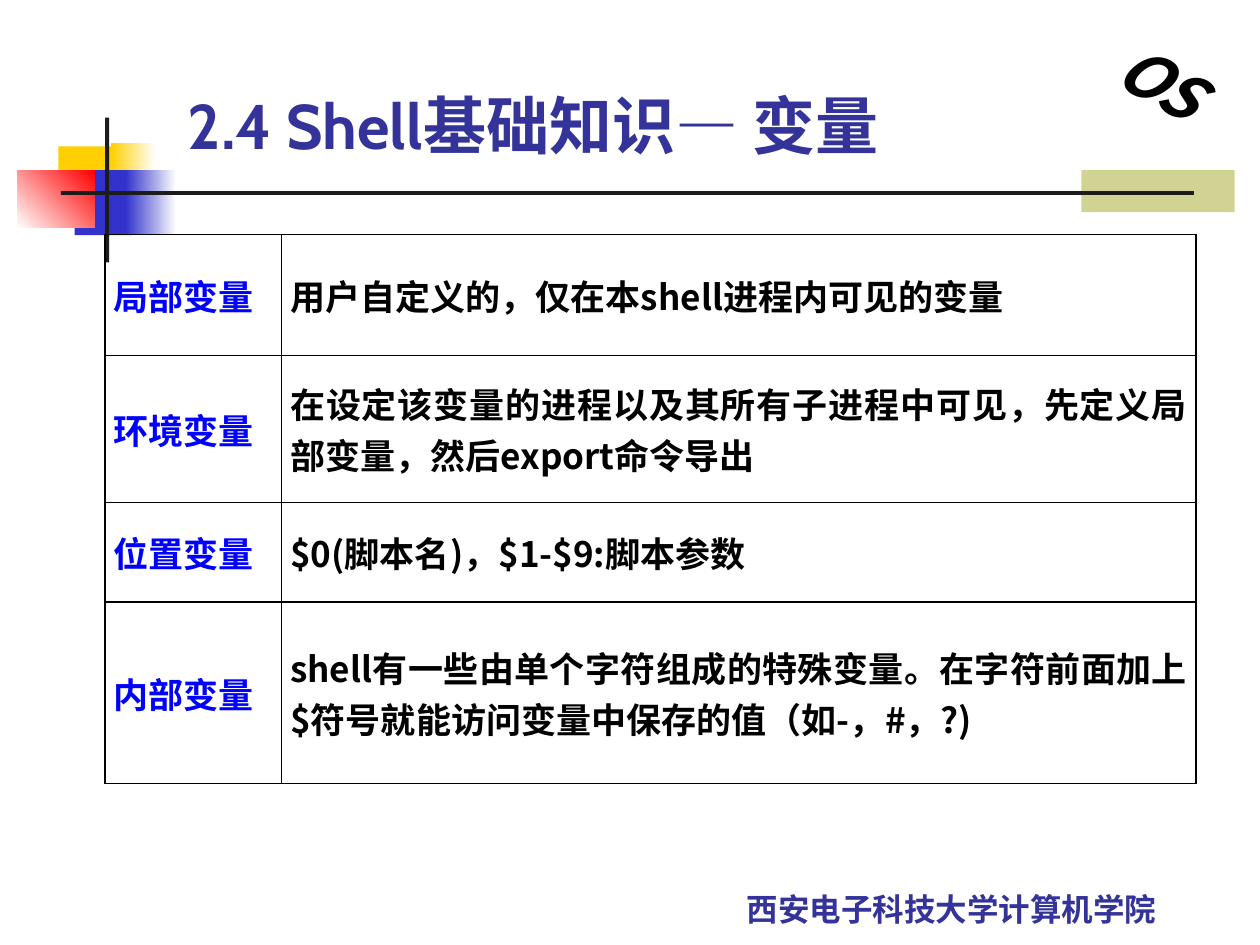
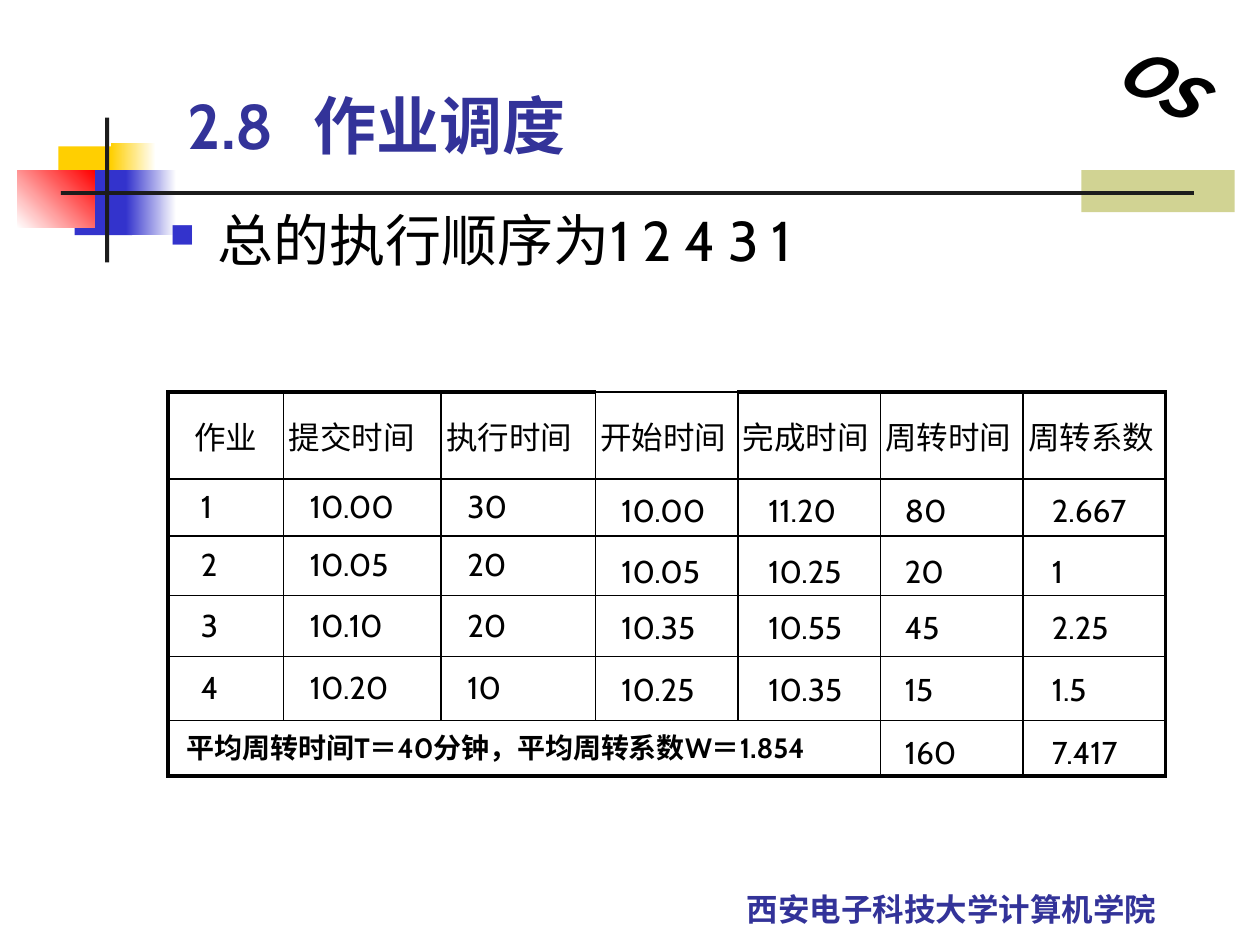
import dataclasses
import typing

import lxml.etree
import pptx
import pptx.dml.color
import pptx.enum.shapes
import pptx.enum.text
import pptx.oxml.ns
import pptx.util

ALIGN = pptx.enum.text.PP_ALIGN
ANCHOR = pptx.enum.text.MSO_ANCHOR
FIT = pptx.enum.text.MSO_AUTO_SIZE

COLUMNS, ROWS = 120, 90
WIDTH, HEIGHT = pptx.util.Inches(10), pptx.util.Inches(7.5)
COLORS = {
    "olive": "D1D393", "yellow": "FFCF01", "blue": "3333CC", "white": "FFFFFF",
    "red": "FF0000", "bar": "1C1C1C", "navy": "333399", "black": "000000",
    "term": "0000FF",
}
CJK = "Noto Sans CJK SC"
THIN, THICK = 0.96, 2.21


class Box(typing.NamedTuple):
    column: float
    row: float
    columns: float
    rows: float


class Block(typing.NamedTuple):
    box: Box
    color: str
    fade_to: str = ""
    angle: float = 0


@dataclasses.dataclass(frozen=True)
class TextStyle:
    size: float
    font: str = "Cabin"
    color: str = "black"
    bold: bool = False
    italic: bool = False
    align: ALIGN = ALIGN.LEFT
    before: float = 0
    indent: float = 0
    tracking: int = 0


@dataclasses.dataclass(frozen=True)
class Grid:
    column: float
    row: float
    widths: tuple[float, ...]
    heights: tuple[float, ...]
    side_margin: float
    outer: float = THIN
    thin_tops: frozenset[tuple[int, int]] = frozenset()


BLOCKS = [
    Block(Box(103, 16.2, 14.6, 4), "olive"),
    Block(Box(5.55, 13.95, 5.75, 6.2), "yellow"),
    Block(Box(10.55, 13.6, 4.3, 6.2), "yellow", "white"),
    Block(Box(7.1, 16.2, 5.5, 6.2), "blue"),
    Block(Box(12, 16.2, 4.8, 6.2), "blue", "white"),
    Block(Box(1.65, 16.2, 7.35, 5.5), "white", "red", 45),
    Block(Box(10, 11.2, 0.4, 13.8), "bar"),
    Block(Box(5.8, 18.2, 107.9, 0.36), "bar"),
]
TITLE_BOX = Box(16.7, 6, 102.2, 10)
FOOTER_BOX = Box(63.6, 82, 54, 7)
BADGE_BOX = Box(106.3, 3.4, 7.8, 10.2)

TITLE = TextStyle(36, color="navy", bold=True)
FOOTER = TextStyle(18, CJK, "navy", bold=True, align=ALIGN.CENTER)
BADGE = TextStyle(36, "Noto Sans CJK JP", bold=True, italic=True,
                  align=ALIGN.CENTER, tracking=-180)
TERM = TextStyle(20, CJK, "term", bold=True, align=ALIGN.JUSTIFY)
MEANING = dataclasses.replace(TERM, color="black")
BULLET = TextStyle(32, before=6.4)
CELL = TextStyle(18, before=3.6)
RESULT = TextStyle(18, before=9)
SUMMARY = TextStyle(16, bold=True, before=3.2, indent=0.05)

VARIABLES = [
    ("局部变量", "用户自定义的，仅在本shell进程内可见的变量"),
    ("环境变量", "在设定该变量的进程以及其所有子进程中可见，先定义局部变量，然后export命令导出"),
    ("位置变量", "$0(脚本名)，$1-$9:脚本参数"),
    ("内部变量", "shell有一些由单个字符组成的特殊变量。在字符前面加上$符号就能访问变量中保存的值（如-，#，?)"),
]
VARIABLE_GRID = Grid(10, 22.35, (16.8, 87.1), (11.5, 14, 9.5, 17.3), 0.07)

HEADINGS = ("作业", "提交时间", "执行时间", "开始时间", "完成时间", "周转时间", "周转系数")
JOBS = [
    ("1", "10.00", "30"),
    ("2", "10.05", "20"),
    ("3", "10.10", "20"),
    ("4", "10.20", "10"),
]
JOB_INDENTS = (0.22, 0.17, 0.17)
JOB_GRID = Grid(16, 37.35, (11, 15, 14.7) + (13.58,) * 4,
                (8.25, 5.45, 5.65, 5.85, 6.1, 5.25), 0.04, THICK,
                frozenset({(0, 3)}))
RESULT_COLUMNS = (58, 72, 85, 99)
RESULTS = {
    46.2: ("10.00", "11.20", "80", "2.667"),
    52: ("10.05", "10.25", "20", "1"),
    57.35: ("10.35", "10.55", "45", "2.25"),
    63.25: ("10.25", "10.35", "15", "1.5"),
    69.2: ("", "", "160", "7.417"),
}


def across(columns: float) -> int:
    return round(WIDTH * columns / COLUMNS)


def down(rows: float) -> int:
    return round(HEIGHT * rows / ROWS)


def place(box: Box) -> tuple[int, int, int, int]:
    return across(box.column), down(box.row), across(box.columns), down(box.rows)


def rgb(name: str) -> pptx.dml.color.RGBColor:
    return pptx.dml.color.RGBColor.from_string(COLORS[name])


def apply(target: typing.Any, formats: dict[str, typing.Any]) -> None:
    for name, value in formats.items():
        setattr(target, name, value)


def add_child(parent: typing.Any, tag: str, **attributes: str) -> typing.Any:
    return lxml.etree.SubElement(parent, pptx.oxml.ns.qn(tag), attributes)


def write(frame: typing.Any, text: str, style: TextStyle) -> typing.Any:
    para = frame.paragraphs[0]
    apply(para, {"alignment": style.align,
                 "space_before": pptx.util.Pt(style.before)})
    if style.indent:
        properties = para._p.get_or_add_pPr()
        properties.set("marL", str(pptx.util.Inches(style.indent)))
        properties.set("indent", "0")
    span = para.add_run()
    span.text = text
    apply(span.font, {"size": pptx.util.Pt(style.size), "name": style.font,
                      "bold": style.bold, "italic": style.italic})
    span.font.color.rgb = rgb(style.color)
    letters = span._r.get_or_add_rPr()
    add_child(letters, "a:ea", typeface=CJK if style.font == "Cabin" else style.font)
    if style.tracking:
        letters.set("spc", str(style.tracking))
    return para


def add_text(page: typing.Any, box: Box, text: str, style: TextStyle,
             **formats: typing.Any) -> typing.Any:
    shape = page.shapes.add_textbox(*place(box))
    apply(shape.text_frame, {"word_wrap": True, "auto_size": FIT.NONE, **formats})
    write(shape.text_frame, text, style)
    return shape


def add_block(page: typing.Any, block: Block) -> None:
    shape = page.shapes.add_shape(
        pptx.enum.shapes.MSO_SHAPE.RECTANGLE, *place(block.box))
    shape.shadow.inherit = False
    shape.line.fill.background()
    if block.fade_to:
        shape.fill.gradient()
        shape.fill.gradient_angle = block.angle
        for stop, color in zip(shape.fill.gradient_stops, (block.color, block.fade_to)):
            stop.color.rgb = rgb(color)
    else:
        shape.fill.solid()
        shape.fill.fore_color.rgb = rgb(block.color)


def add_page(deck: typing.Any, title: str) -> typing.Any:
    page = deck.slides.add_slide(deck.slide_layouts[5])
    for block in BLOCKS:
        add_block(page, block)
    heading = page.shapes.title
    apply(heading, dict(zip(("left", "top", "width", "height"), place(TITLE_BOX))))
    apply(heading.text_frame, {"vertical_anchor": ANCHOR.BOTTOM, "word_wrap": True,
                               "auto_size": FIT.NONE})
    write(heading.text_frame, title, TITLE)
    add_text(page, FOOTER_BOX, "西安电子科技大学计算机学院", FOOTER,
             vertical_anchor=ANCHOR.BOTTOM)
    badge = add_text(page, BADGE_BOX, "OS", BADGE, word_wrap=False)
    badge.rotation = 29.3
    return page


def draw_borders(cell: typing.Any, weights: dict[str, float]) -> None:
    properties = cell._tc.get_or_add_tcPr()
    for position, (side, weight) in enumerate(weights.items()):
        line = add_child(properties, f"a:ln{side}", w=str(pptx.util.Pt(weight)))
        add_child(add_child(line, "a:solidFill"), "a:srgbClr", val=COLORS["black"])
        properties.insert(position, line)


def add_grid(page: typing.Any, grid: Grid) -> typing.Any:
    box = Box(grid.column, grid.row, sum(grid.widths), sum(grid.heights))
    table = page.shapes.add_table(
        len(grid.heights), len(grid.widths), *place(box)).table
    apply(table, {"first_row": False, "horz_banding": False})
    for column, width in zip(table.columns, grid.widths):
        column.width = across(width)
    last_row, last_column = len(grid.heights) - 1, len(grid.widths) - 1
    margin = pptx.util.Inches(grid.side_margin)
    for r, height in enumerate(grid.heights):
        table.rows[r].height = down(height)
        for c in range(len(grid.widths)):
            cell = table.cell(r, c)
            apply(cell, {"margin_left": margin, "margin_right": margin,
                         "vertical_anchor": ANCHOR.MIDDLE})
            cell.fill.background()
            outside = {"L": c == 0, "R": c == last_column,
                       "T": r == 0 and (r, c) not in grid.thin_tops,
                       "B": r == last_row}
            draw_borders(cell, {side: grid.outer if edge else THIN
                                for side, edge in outside.items()})
    return table


def add_variables_page(deck: typing.Any) -> None:
    page = add_page(deck, "2.4 Shell基础知识— 变量")
    table = add_grid(page, VARIABLE_GRID)
    for r, entry in enumerate(VARIABLES):
        for c, (text, style) in enumerate(zip(entry, (TERM, MEANING))):
            write(table.cell(r, c).text_frame, text, style)


def add_scheduling_page(deck: typing.Any) -> None:
    page = add_page(deck, "2.8\t作业调度")
    order = add_text(page, Box(15, 19, 102, 7.9), "总的执行顺序为1 2 4 3 1", BULLET)
    properties = order.text_frame.paragraphs[0]._p.get_or_add_pPr()
    hanging = pptx.util.Inches(0.38)
    properties.set("marL", str(hanging))
    properties.set("indent", str(-hanging))
    add_child(add_child(properties, "a:buClr"), "a:srgbClr", val=COLORS["blue"])
    add_child(properties, "a:buSzPct", val="60000")
    add_child(properties, "a:buChar", char="■")

    table = add_grid(page, JOB_GRID)
    table.cell(5, 0).merge(table.cell(5, 4))
    for c, text in enumerate(HEADINGS):
        style = dataclasses.replace(CELL, indent=0 if c else 0.17)
        write(table.cell(0, c).text_frame, text, style)
    for r, job in enumerate(JOBS, 1):
        for c, (text, indent) in enumerate(zip(job, JOB_INDENTS)):
            write(table.cell(r, c).text_frame, text,
                  dataclasses.replace(CELL, indent=indent))

    for row, values in RESULTS.items():
        for column, text in zip(RESULT_COLUMNS, values):
            if text:
                add_text(page, Box(column, row, 11, 4.8), text, RESULT,
                         auto_size=FIT.SHAPE_TO_FIT_TEXT)
    add_text(page, Box(16, 69, 70, 7.5),
             "平均周转时间T＝40分钟，平均周转系数W＝1.854", SUMMARY,
             auto_size=FIT.SHAPE_TO_FIT_TEXT)


def main() -> None:
    deck = pptx.Presentation()
    apply(deck, {"slide_width": WIDTH, "slide_height": HEIGHT})
    add_variables_page(deck)
    add_scheduling_page(deck)
    deck.save("out.pptx")


if __name__ == "__main__":
    main()
